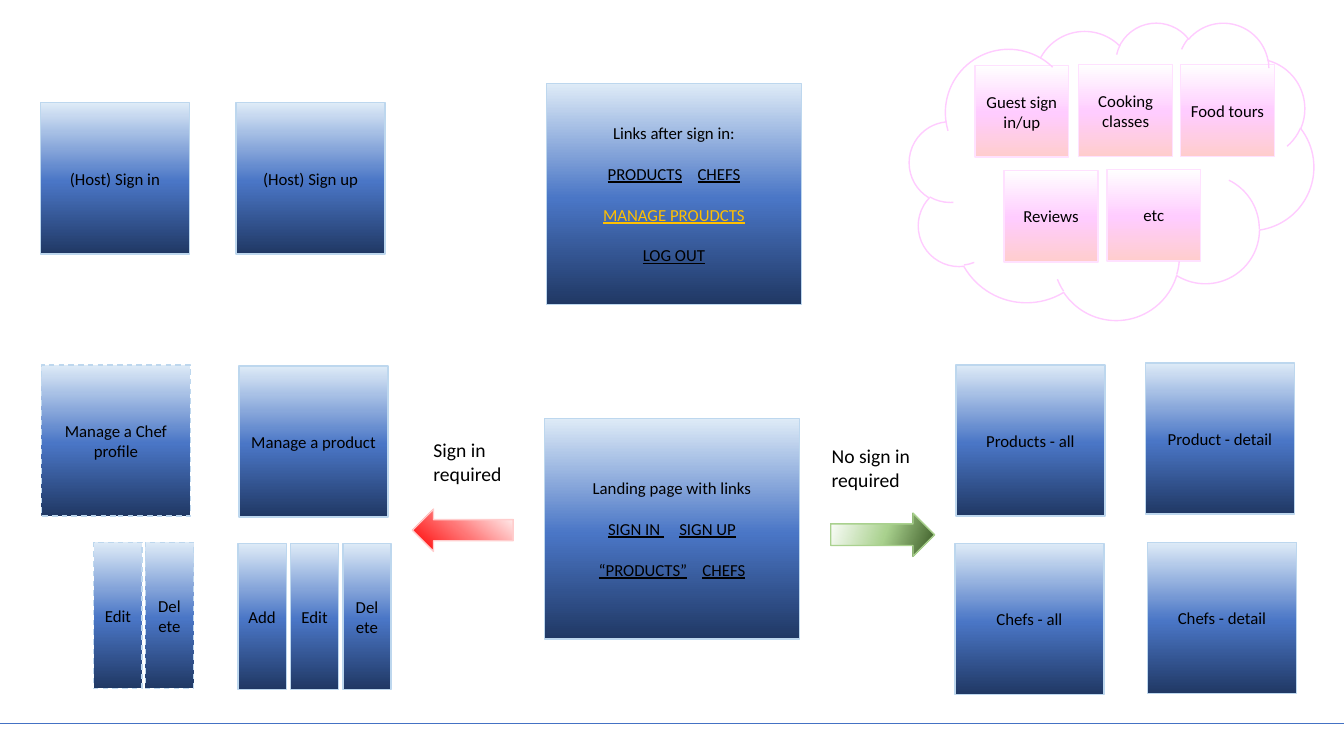
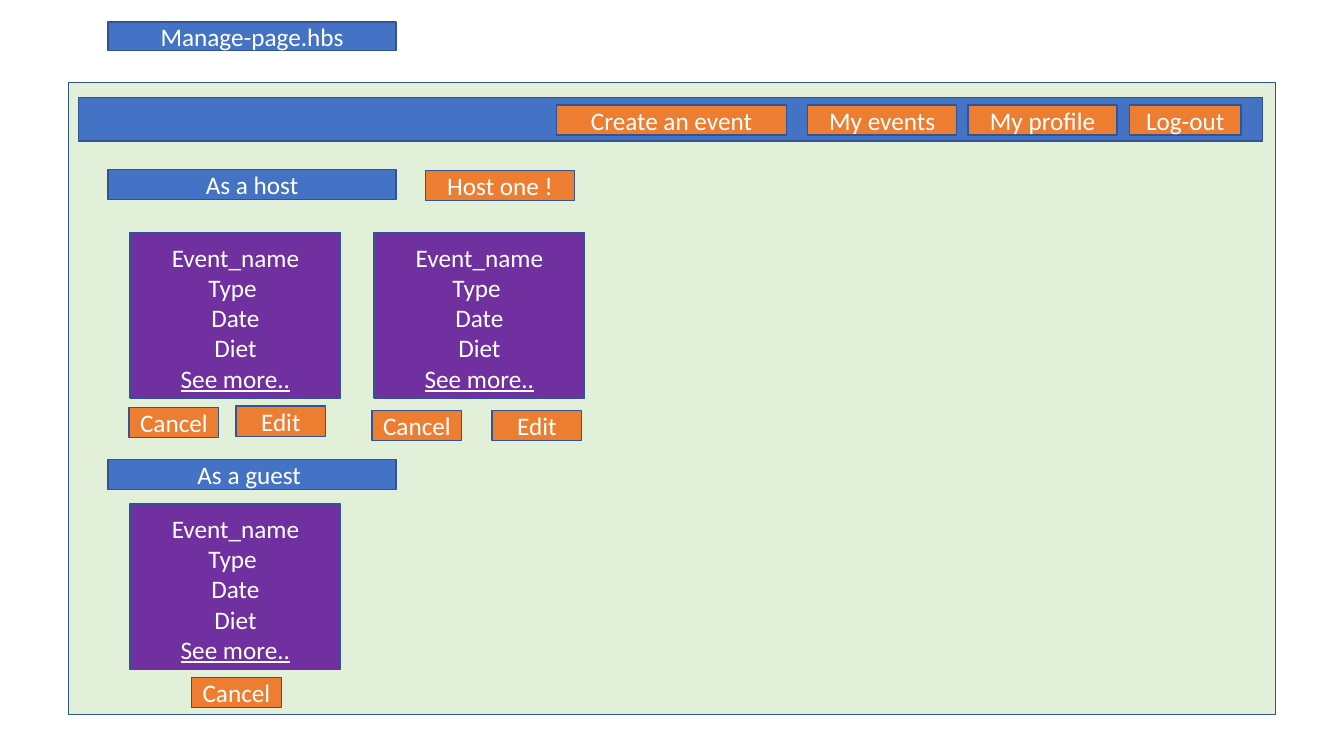
from copy import deepcopy
from dataclasses import dataclass

from pptx import Presentation
from pptx.dml.color import RGBColor
from pptx.enum.dml import MSO_LINE
from pptx.enum.shapes import MSO_CONNECTOR, MSO_SHAPE as Preset
from pptx.enum.text import MSO_ANCHOR as Anchor, MSO_AUTO_SIZE as AutoSize, PP_ALIGN as Align
from pptx.oxml.ns import qn
from pptx.shapes.autoshape import Shape
from pptx.slide import Slide
from pptx.util import Inches, Pt

FONT = "Calibri"
BLACK, WHITE, GOLD = "000000", "FFFFFF", "FFC000"
BLUE, NAVY, ORANGE, PURPLE, MINT = "4472C4", "325491", "ED7D31", "7030A0", "E2F0D9"
LINK_GAP = 8.1  # points added to the space between two links
BLANK_LINE = 14.65  # points, one 12 pt line


@dataclass(frozen=True)
class Look:
    """Fill (one colour, or three gradient stops), outline and text style."""
    fill: tuple[str, ...]
    outline: str
    angle: int = 90
    size: int = 12
    ink: str = BLACK
    dashed: bool = False
    anchor: Anchor = Anchor.MIDDLE


@dataclass(frozen=True)
class Line:
    """One paragraph: plain text, or links set apart by a wide space."""
    phrases: tuple[str, ...]
    link: bool = False
    ink: str | None = None
    before: float = 0


@dataclass(frozen=True)
class Box:
    left: float
    top: float
    width: float
    height: float
    look: Look
    lines: tuple[Line, ...] = ()
    preset: Preset = Preset.RECTANGLE


PAGE_FILL = ("203864", "4A76C6", "DEEBF7")
PAGE = Look(PAGE_FILL, "BDD7EE")
DRAFT = Look(PAGE_FILL, "BDD7EE", dashed=True)
IDEA = Look(("FFCDCD", "FFCCFF", WHITE), "FFE1FF")
CLOUD = Look((), "FFCCFF")
LOCKED = Look(("FF0000", "FF7575", WHITE), "FFCDCD", angle=50)
OPEN = Look(("385723", "A9D18E", WHITE), "A9D18E", angle=160)
PANEL = Look((MINT,), NAVY)
LABEL = Look((BLUE,), NAVY, size=18, ink=WHITE)
BUTTON = Look((ORANGE,), NAVY, size=18, ink=WHITE)
CARD = Look((PURPLE,), NAVY, size=18, ink=WHITE, anchor=Anchor.BOTTOM)


def rgb(value: str) -> RGBColor:
    return RGBColor.from_string(value)


def text(words: str) -> tuple[Line, ...]:
    return (Line((words,)),)


def links(*phrases: str, ink: str | None = None) -> Line:
    return Line(phrases, link=True, ink=ink, before=BLANK_LINE)


def paint(shape: Shape, look: Look) -> None:
    shape.shadow.inherit = False
    shape.line.color.rgb = rgb(look.outline)
    shape.line.width = Pt(1)
    if look.dashed:
        shape.line.dash_style = MSO_LINE.DASH
    if not look.fill:
        shape.fill.background()
    elif len(look.fill) == 1:
        shape.fill.solid()
        shape.fill.fore_color.rgb = rgb(look.fill[0])
    else:
        shape.fill.gradient()
        shape.fill.gradient_angle = look.angle
        stop_list = next(shape.element.iter(qn("a:gsLst")))
        stop_list.insert(1, deepcopy(stop_list[0]))
        for stop, color, position in zip(shape.fill.gradient_stops, look.fill, (0, 0.48, 1)):
            stop.color.rgb = rgb(color)
            stop.position = position


def write(shape: Shape, lines: tuple[Line, ...], size: int, ink: str, align: Align) -> None:
    frame = shape.text_frame
    for index, line in enumerate(lines):
        paragraph = frame.add_paragraph() if index else frame.paragraphs[0]
        paragraph.alignment = align
        paragraph.space_before = Pt(line.before)
        font = paragraph.font
        font.name, font.size = FONT, Pt(size)
        font.color.rgb = rgb(line.ink or ink)
        if line.link:
            font.underline = True
        for number, phrase in enumerate(line.phrases):
            if number:
                gap = paragraph.add_run()
                gap.text = " "
                gap.font.underline = False
                gap.font._element.set("spc", str(round(LINK_GAP * 100)))
            paragraph.add_run().text = phrase


def draw(slide: Slide, box: Box) -> None:
    place = map(Inches, (box.left, box.top, box.width, box.height))
    shape = slide.shapes.add_shape(box.preset, *place)
    paint(shape, box.look)
    if box.lines:
        shape.text_frame.word_wrap = True
        shape.text_frame.vertical_anchor = box.look.anchor
        write(shape, box.lines, box.look.size, box.look.ink, Align.CENTER)


def draw_note(slide: Slide, left: float, top: float, width: float, *words: str) -> None:
    note = slide.shapes.add_textbox(Inches(left), Inches(top), Inches(width), Inches(0.57))
    note.text_frame.word_wrap = False
    note.text_frame.auto_size = AutoSize.SHAPE_TO_FIT_TEXT
    write(note, tuple(Line((word,)) for word in words), 14, BLACK, Align.LEFT)


def draw_rule(slide: Slide, top: float) -> None:
    rule = slide.shapes.add_connector(
        MSO_CONNECTOR.STRAIGHT, 0, Inches(top), Inches(13.33), Inches(top))
    rule.line.color.rgb = rgb(BLUE)
    rule.line.width = Pt(0.5)
    properties = rule.element.spPr
    properties.append(properties.makeelement(qn("a:effectLst"), {}))


def page(left: float, top: float, words: str, look: Look = PAGE) -> Box:
    return Box(left, top, 1.48, 1.5, look, text(words))


def action(left: float, top: float, words: str, look: Look = PAGE) -> Box:
    return Box(left, top, 0.48, 1.45, look, text(words))


def hub(left: float, top: float, title: str, *menu: Line) -> Box:
    return Box(left, top, 2.53, 2.19, PAGE, text(title) + menu)


def idea(left: float, top: float, words: str) -> Box:
    return Box(left, top, 0.93, 0.91, IDEA, text(words))


def label(top: float, words: str, height: float = 0.3) -> Box:
    return Box(1.07, top, 2.86, height, LABEL, text(words))


def button(left: float, top: float, words: str, width: float = 0.89) -> Box:
    return Box(left, top, width, 0.3, BUTTON, text(words))


def event_card(left: float, top: float) -> Box:
    fields = tuple(Line((field,)) for field in ("Event_name", "Type ", "Date", "Diet"))
    return Box(left, top, 2.09, 1.64, CARD, fields + (Line(("See more..",), link=True),))


SITE_MAP = (
    # Hubs
    hub(5.42, 0.83, "Links after sign in:", links("PRODUCTS", "CHEFS"),
        links("MANAGE PROUDCTS", ink=GOLD), links("LOG OUT")),
    hub(5.4, 4.15, "Landing page with links", links("SIGN IN ", "SIGN UP"),
        links("“PRODUCTS”", "CHEFS")),
    # Host pages and their actions
    page(0.4, 1.02, "(Host) Sign in"),
    page(2.34, 1.02, "(Host) Sign up"),
    page(0.41, 3.62, "Manage a Chef profile", DRAFT),
    page(2.37, 3.63, "Manage a product"),
    action(0.93, 5.38, "Edit", DRAFT),
    action(1.44, 5.38, "Delete", DRAFT),
    *(action(2.36 + 0.52 * i, 5.39, verb) for i, verb in enumerate(("Add", "Edit", "Delete"))),
    # Public pages
    page(9.48, 3.62, "Products - all"),
    page(11.36, 3.6, "Product - detail"),
    page(9.47, 5.39, "Chefs - all"),
    page(11.38, 5.38, "Chefs - detail"),
    # Ways out of the landing page
    Box(4.09, 5.05, 1, 0.42, LOCKED, preset=Preset.LEFT_ARROW),
    Box(8.24, 5.09, 1.03, 0.43, OPEN, preset=Preset.RIGHT_ARROW),
    # Ideas for later
    idea(9.67, 0.65, "Guest sign in/up"),
    idea(10.7, 0.64, "Cooking classes"),
    idea(11.71, 0.64, "Food tours"),
    idea(9.96, 1.69, "Reviews"),
    idea(10.98, 1.68, "etc"),
    Box(9.02, 0.22, 4.01, 2.95, CLOUD, preset=Preset.CLOUD),
)

MANAGE_PAGE = (
    # Page frame and navigation bar
    label(0.22, "Manage-page.hbs", 0.28),
    Box(0.68, 0.82, 11.97, 6.27, PANEL),
    Box(0.78, 0.97, 11.74, 0.43, LABEL),
    button(5.52, 1.04, "Create an event", 2.28),
    button(8.01, 1.04, "My events", 1.48),
    button(9.6, 1.04, "My profile", 1.48),
    button(11.2, 1.04, "Log-out", 1.11),
    # Hosted events
    label(1.68, "As a host"),
    button(4.22, 1.69, "Host one !", 1.48),
    event_card(1.29, 2.31),
    button(1.28, 4.04, "Cancel"),
    button(2.34, 4.03, "Edit"),
    event_card(3.71, 2.31),
    button(3.69, 4.07, "Cancel"),
    button(4.88, 4.07, "Edit"),
    # Events joined as a guest
    label(4.56, "As a guest "),
    event_card(1.29, 5),
    button(1.9, 6.72, "Cancel"),
)


def main() -> None:
    deck = Presentation()
    deck.slide_width, deck.slide_height = Inches(13.33), Inches(7.5)
    blank = deck.slide_layouts[6]
    site_map, manage_page = (deck.slides.add_slide(blank) for _ in range(2))

    draw_rule(site_map, 7.18)
    draw_note(site_map, 4.2, 4.3, 0.89, "Sign in", "required")
    draw_note(site_map, 8.15, 4.36, 1.03, "No sign in ", "required")
    for slide, boxes in ((site_map, SITE_MAP), (manage_page, MANAGE_PAGE)):
        for box in boxes:
            draw(slide, box)
    deck.save("out.pptx")


main()
